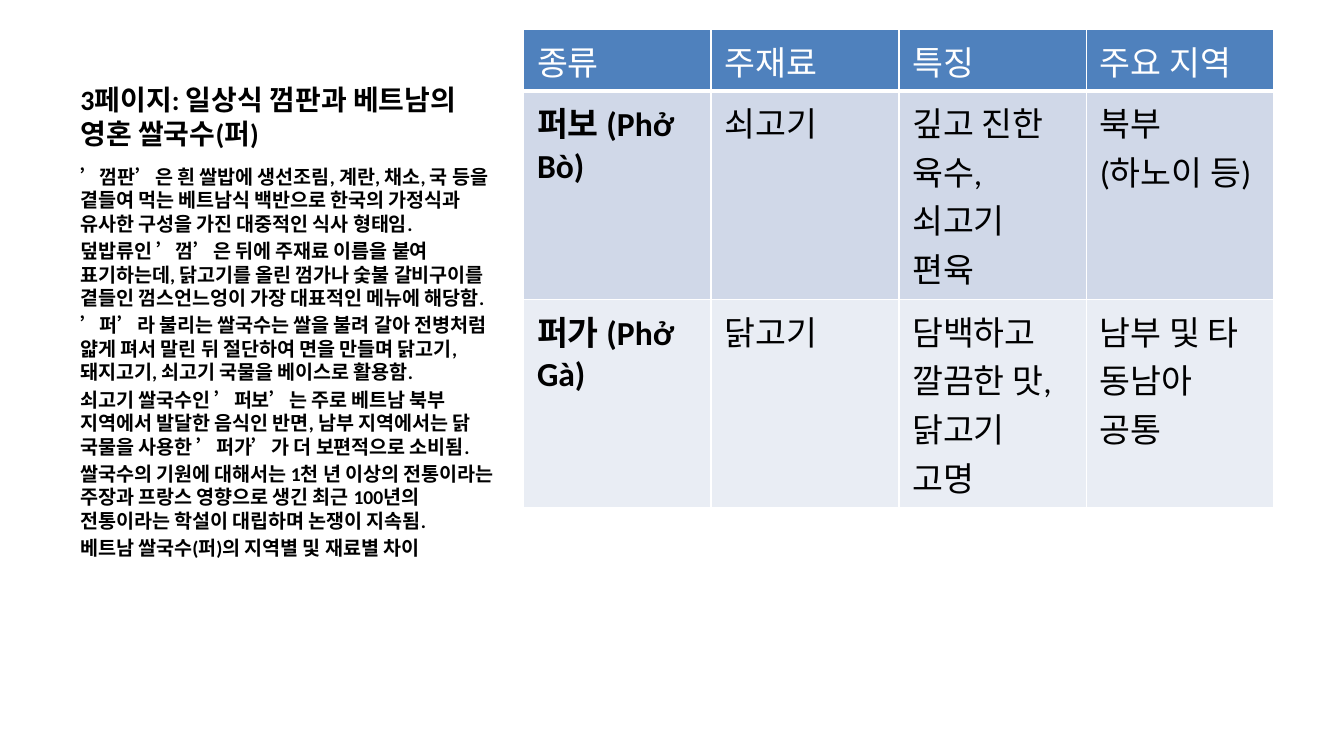
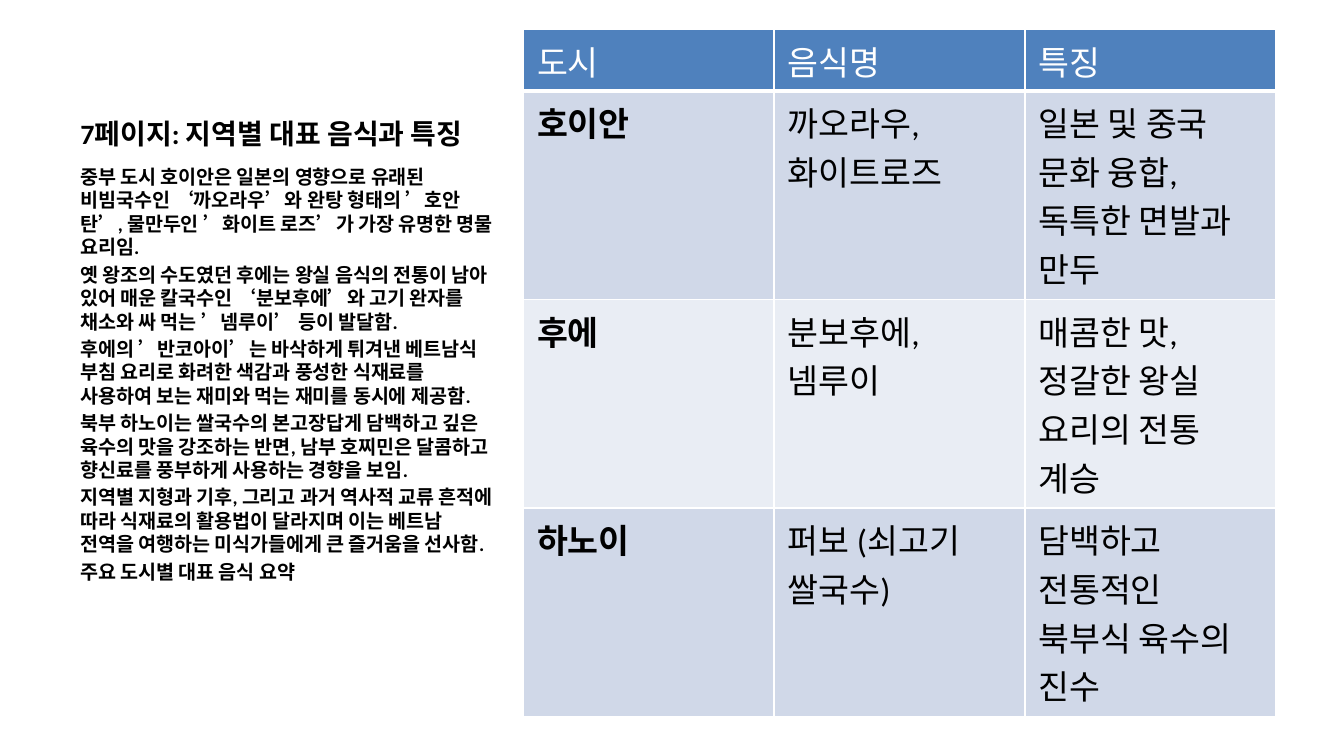
from typing import NamedTuple

from lxml.etree import SubElement
from pptx import Presentation
from pptx.dml.color import RGBColor
from pptx.enum.text import MSO_ANCHOR
from pptx.oxml.ns import qn
from pptx.util import Pt

PX = 9525
FONT = "Calibri"
BLACK = RGBColor(0x00, 0x00, 0x00)
WHITE = RGBColor(0xFF, 0xFF, 0xFF)
HEADER_BLUE = RGBColor(0x4F, 0x81, 0xBD)
BANDS = (RGBColor(0xD0, 0xD8, 0xE8), RGBColor(0xE9, 0xED, 0xF4))


class Box(NamedTuple):
    left: int
    top: int
    width: int
    height: int

    def emu(self) -> list[int]:
        return [v * PX for v in self]


class Page(NamedTuple):
    title: str
    body: list[str]
    rows: list[list[str]]


TITLE_BOX = Box(48, 21, 316, 91)
BODY_BOX = Box(48, 113, 316, 370)
TABLE_LEFT, TABLE_TOP, TABLE_WIDTH = 374, 21, 536
HEADER_HEIGHT, ROW_HEIGHT = 44, 149

TITLE_FORMAT = {"name": FONT, "size": Pt(15), "bold": True}
BODY_FORMAT = {"name": FONT, "size": Pt(10.5), "bold": True}
CELL_FORMAT = {"name": FONT, "size": Pt(18), "bold": False}
LABEL_FORMAT = CELL_FORMAT | {"bold": True}

PAGES = [
    Page(
        "3페이지: 일상식 껌판과 베트남의 영혼 쌀국수(퍼)",
        [
            "’껌판’은 흰 쌀밥에 생선조림, 계란, 채소, 국 등을 곁들여 먹는 베트남식 백반으로 한국의 가정식과 유사한 구성을 가진 대중적인 식사 형태임.",
            "덮밥류인 ’껌’은 뒤에 주재료 이름을 붙여 표기하는데, 닭고기를 올린 껌가나 숯불 갈비구이를 곁들인 껌스언느엉이 가장 대표적인 메뉴에 해당함.",
            "’퍼’라 불리는 쌀국수는 쌀을 불려 갈아 전병처럼 얇게 펴서 말린 뒤 절단하여 면을 만들며 닭고기, 돼지고기, 쇠고기 국물을 베이스로 활용함.",
            "쇠고기 쌀국수인 ’퍼보’는 주로 베트남 북부 지역에서 발달한 음식인 반면, 남부 지역에서는 닭 국물을 사용한 ’퍼가’가 더 보편적으로 소비됨.",
            "쌀국수의 기원에 대해서는 1천 년 이상의 전통이라는 주장과 프랑스 영향으로 생긴 최근 100년의 전통이라는 학설이 대립하며 논쟁이 지속됨.",
            "베트남 쌀국수(퍼)의 지역별 및 재료별 차이",
        ],
        [
            ["종류", "주재료", "특징", "주요 지역"],
            ["퍼보 (Phở Bò)", "쇠고기", "깊고 진한 육수, 쇠고기 편육", "북부(하노이 등)"],
            ["퍼가 (Phở Gà)", "닭고기", "담백하고 깔끔한 맛, 닭고기 고명", "남부 및 타 동남아 공통"],
        ],
    ),
    Page(
        "7페이지: 지역별 대표 음식과 특징",
        [
            "중부 도시 호이안은 일본의 영향으로 유래된 비빔국수인 ‘까오라우’와 완탕 형태의 ’호안탄’, 물만두인 ’화이트 로즈’가 가장 유명한 명물 요리임.",
            "옛 왕조의 수도였던 후에는 왕실 음식의 전통이 남아 있어 매운 칼국수인 ‘분보후에’와 고기 완자를 채소와 싸 먹는 ’넴루이’ 등이 발달함.",
            "후에의 ’반코아이’는 바삭하게 튀겨낸 베트남식 부침 요리로 화려한 색감과 풍성한 식재료를 사용하여 보는 재미와 먹는 재미를 동시에 제공함.",
            "북부 하노이는 쌀국수의 본고장답게 담백하고 깊은 육수의 맛을 강조하는 반면, 남부 호찌민은 달콤하고 향신료를 풍부하게 사용하는 경향을 보임.",
            "지역별 지형과 기후, 그리고 과거 역사적 교류 흔적에 따라 식재료의 활용법이 달라지며 이는 베트남 전역을 여행하는 미식가들에게 큰 즐거움을 선사함.",
            "주요 도시별 대표 음식 요약",
        ],
        [
            ["도시", "음식명", "특징"],
            ["호이안", "까오라우, 화이트로즈", "일본 및 중국 문화 융합, 독특한 면발과 만두"],
            ["후에", "분보후에, 넴루이", "매콤한 맛, 정갈한 왕실 요리의 전통 계승"],
            ["하노이", "퍼보 (쇠고기 쌀국수)", "담백하고 전통적인 북부식 육수의 진수"],
        ],
    ),
]


def add_run(p, text: str, fmt: dict, color: RGBColor) -> None:
    r = p.add_run()
    r.text = text
    for key, value in fmt.items():
        setattr(r.font, key, value)
    r.font.color.rgb = color


def add_text(s, box: Box, lines: list[str], fmt: dict, anchor: MSO_ANCHOR) -> None:
    tf = s.shapes.add_textbox(*box.emu()).text_frame
    tf.word_wrap = True
    tf.vertical_anchor = anchor
    for i, line in enumerate(lines):
        p = tf.add_paragraph() if i else tf.paragraphs[0]
        if i:
            p.space_before = Pt(2)
        add_run(p, line, fmt, BLACK)


def set_borders(cell, bottom: int) -> None:
    tc_pr = cell._tc.get_or_add_tcPr()
    for side, width in {"L": 1, "R": 1, "T": 1, "B": bottom}.items():
        ln = SubElement(tc_pr, qn(f"a:ln{side}"), w=str(Pt(width)))
        SubElement(SubElement(ln, qn("a:solidFill")), qn("a:srgbClr"), val=str(WHITE))


def add_food_table(s, rows: list[list[str]]) -> None:
    n_cols = len(rows[0])
    col_width = round(TABLE_WIDTH / n_cols)
    height = HEADER_HEIGHT + ROW_HEIGHT * (len(rows) - 1)
    box = Box(TABLE_LEFT, TABLE_TOP, col_width * n_cols, height)
    table = s.shapes.add_table(len(rows), n_cols, *box.emu()).table
    for i, row in enumerate(rows):
        header = i == 0
        table.rows[i].height = (HEADER_HEIGHT if header else ROW_HEIGHT) * PX
        for j, text in enumerate(row):
            cell = table.cell(i, j)
            set_borders(cell, 3 if header else 1)
            cell.fill.solid()
            cell.fill.fore_color.rgb = HEADER_BLUE if header else BANDS[(i - 1) % 2]
            fmt = LABEL_FORMAT if j == 0 and not header else CELL_FORMAT
            add_run(cell.text_frame.paragraphs[0], text, fmt, WHITE if header else BLACK)


def main() -> None:
    prs = Presentation()
    prs.slide_width, prs.slide_height = 960 * PX, 540 * PX
    for page in PAGES:
        s = prs.slides.add_slide(prs.slide_layouts[6])
        add_text(s, TITLE_BOX, [page.title], TITLE_FORMAT, MSO_ANCHOR.BOTTOM)
        add_text(s, BODY_BOX, page.body, BODY_FORMAT, MSO_ANCHOR.TOP)
        add_food_table(s, page.rows)
    prs.save("out.pptx")


if __name__ == "__main__":
    main()
